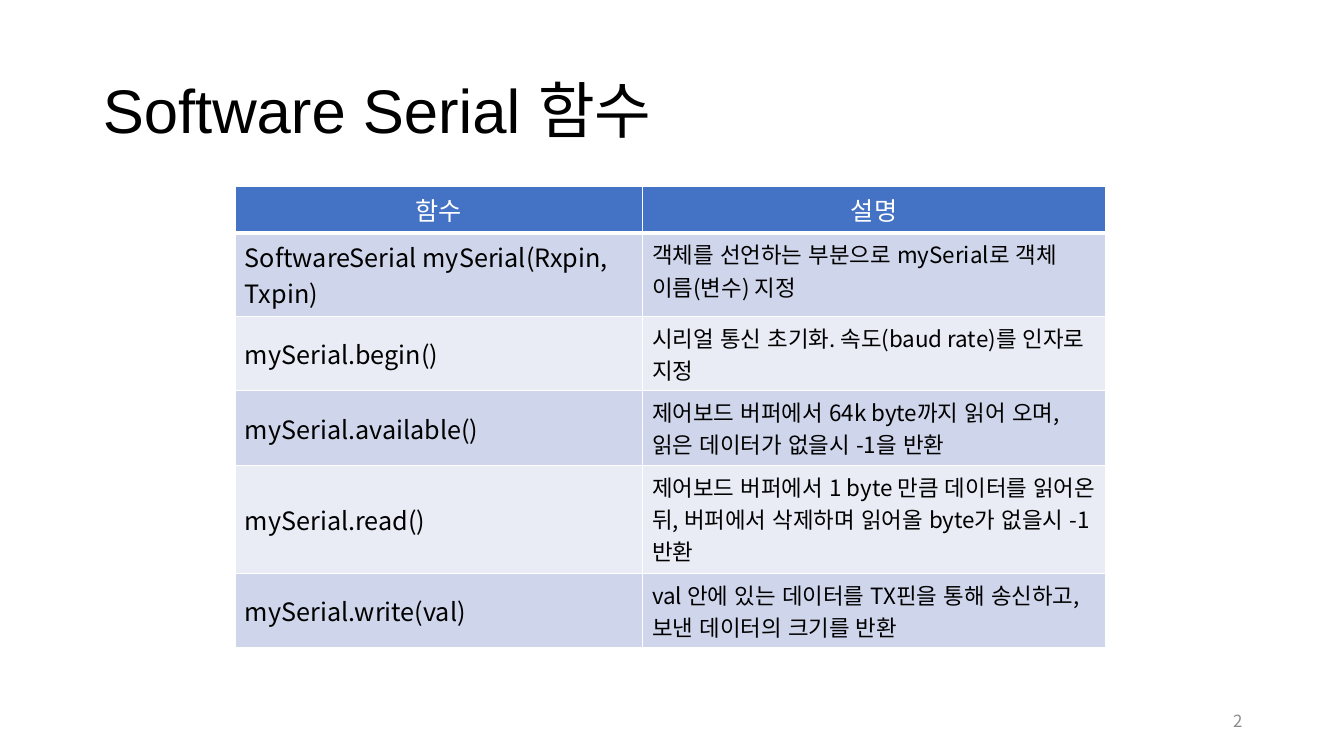
from pptx import Presentation
from pptx.dml.color import RGBColor
from pptx.enum.lang import MSO_LANGUAGE_ID as Lang
from pptx.enum.text import MSO_ANCHOR as Anchor, MSO_AUTO_SIZE as Fit, PP_ALIGN as Align
from pptx.oxml.ns import qn
from pptx.util import Inches, Pt
from lxml.etree import SubElement as Sub

LATIN, KOREAN = "Arial", "Noto Sans CJK KR"
BLACK = RGBColor(0x00, 0x00, 0x00)
WHITE = RGBColor(0xFF, 0xFF, 0xFF)
GRAY = RGBColor(0x8C, 0x8C, 0x8C)
BLUE = RGBColor(0x44, 0x72, 0xC4)
BANDS = RGBColor(0xCF, 0xD5, 0xEA), RGBColor(0xE9, 0xEB, 0xF5)

HEADS = "함수", "설명"
ROWS = [
    ("SoftwareSerial mySerial(Rxpin, Txpin)",
     "객체를 선언하는 부분으로 mySerial로 객체 이름(변수) 지정"),
    ("mySerial.begin()",
     "시리얼 통신 초기화. 속도(baud rate)를 인자로 지정"),
    ("mySerial.available()",
     "제어보드 버퍼에서 64k byte까지 읽어 오며, 읽은 데이터가 없을시 -1을 반환"),
    ("mySerial.read()",
     "제어보드 버퍼에서 1 byte 만큼 데이터를 읽어온 뒤, "
     "버퍼에서 삭제하며 읽어올 byte가 없을시 -1 반환"),
    ("mySerial.write(val)",
     "val 안에 있는 데이터를 TX핀을 통해 송신하고, 보낸 데이터의 크기를 반환"),
]
WIDTHS = 4.04, 4.6
HEIGHTS = 0.46, 0.82, 0.74, 0.74, 1.07, 0.73


def write(frame, text, size, color, align=Align.LEFT, face=KOREAN):
    para = frame.paragraphs[0]
    para.alignment = align
    run = para.add_run()
    run.text = text
    font = run.font
    font.name, font.size, font.bold = face, Pt(size), False
    font.color.rgb = color
    font.language_id = Lang.KOREAN
    Sub(font._element, qn("a:ea")).set("typeface", KOREAN)
    return para


def edge(cell, side, width):
    line = Sub(cell._tc.get_or_add_tcPr(), qn(f"a:ln{side}"), w=str(Pt(width)))
    Sub(Sub(line, qn("a:solidFill")), qn("a:srgbClr")).set("val", str(WHITE))


def fill_cell(cell, text, size, color, back, align, anchor, base=1):
    for side, width in zip("LRTB", (1, 1, 1, base)):
        edge(cell, side, width)
    cell.fill.solid()
    cell.fill.fore_color.rgb = back
    cell.vertical_anchor = anchor
    write(cell.text_frame, text, size, color, align)


def add_title(slide, text):
    title = slide.shapes.title
    title.left, title.top = Inches(0.92), Inches(0.4)
    title.width, title.height = Inches(11.5), Inches(1.45)
    frame = title.text_frame
    frame.auto_size = Fit.NONE
    frame.vertical_anchor = Anchor.MIDDLE
    write(frame, text, 44, BLACK, face=LATIN).line_spacing = 0.9


def add_grid(slide):
    grid = slide.shapes.add_table(
        len(ROWS) + 1, len(HEADS), Inches(2.33), Inches(1.85),
        Inches(sum(WIDTHS)), Inches(sum(HEIGHTS))).table
    for col, width in zip(grid.columns, WIDTHS):
        col.width = Inches(width)
    for row, height in zip(grid.rows, HEIGHTS):
        row.height = Inches(height)
    # Header row
    for col, text in enumerate(HEADS):
        fill_cell(grid.cell(0, col), text, 18, WHITE, BLUE,
                  Align.CENTER, Anchor.TOP, base=3)
    # Function rows
    for row, (name, note) in enumerate(ROWS, 1):
        back = BANDS[(row - 1) % 2]
        fill_cell(grid.cell(row, 0), name, 18, BLACK, back,
                  Align.LEFT, Anchor.MIDDLE)
        fill_cell(grid.cell(row, 1), note, 16, BLACK, back,
                  Align.LEFT, Anchor.TOP)


def add_number(slide, text):
    box = slide.shapes.add_textbox(Inches(9.42), Inches(6.95), Inches(3), Inches(0.4))
    frame = box.text_frame
    frame.word_wrap = True
    frame.vertical_anchor = Anchor.MIDDLE
    write(frame, text, 12, GRAY, Align.RIGHT)


def main():
    deck = Presentation()
    deck.slide_width, deck.slide_height = Inches(13.33), Inches(7.5)
    slide = deck.slides.add_slide(deck.slide_layouts[5])
    add_title(slide, "Software Serial 함수")
    add_grid(slide)
    add_number(slide, "2")
    deck.save("out.pptx")


if __name__ == "__main__":
    main()
